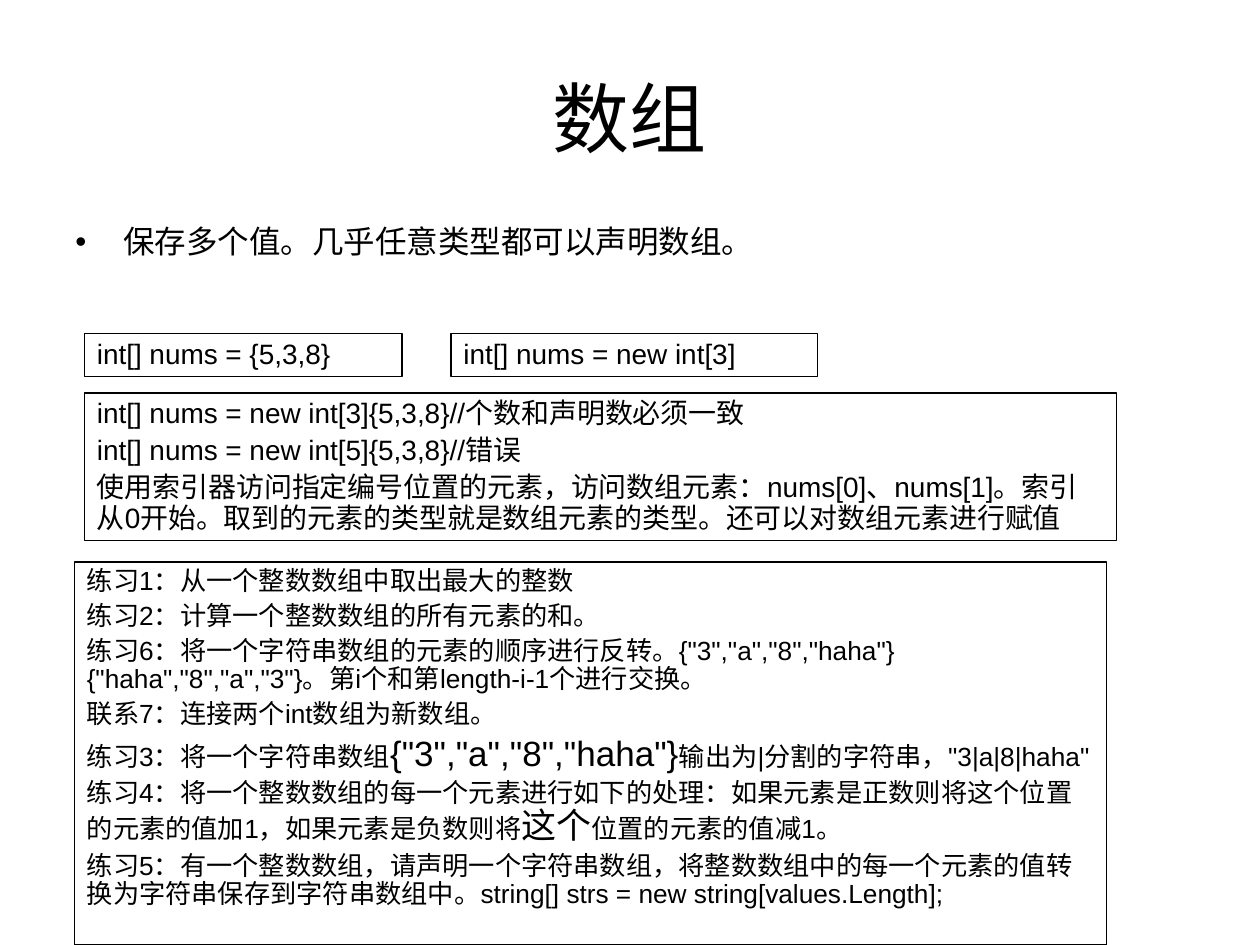
from lxml.etree import SubElement
from pptx import Presentation
from pptx.dml.color import RGBColor
from pptx.enum.text import MSO_ANCHOR, PP_ALIGN
from pptx.oxml.ns import qn
from pptx.util import Inches, Pt

COLORS = {"text": "000000", "line": "000000"}
FONT = "Arial"
EMPHASIS = 20

# A paragraph is a list of runs; a run in a tuple is emphasised.
INITIALIZER = [["int[] nums = {5,3,8}"]]
SIZED = [["int[] nums = new int[3]"]]
RULES = [
    ["int[] nums = new int[3]{5,3,8}//个数和声明数必须一致"],
    ["int[] nums = new int[5]{5,3,8}//错误"],
    ["使用索引器访问指定编号位置的元素，访问数组元素：nums[0]、nums[1]。"
     "索引从0开始。取到的元素的类型就是数组元素的类型。还可以对数组元素进行赋值"],
]
EXERCISES = [
    ["练习1：从一个整数数组中取出最大的整数"],
    ["练习2：计算一个整数数组的所有元素的和。"],
    ['练习6：将一个字符串数组的元素的顺序进行反转。{"3","a","8","haha"} '
     '{"haha","8","a","3"}。第i个和第length-i-1个进行交换。'],
    ["联系7：连接两个int数组为新数组。"],
    ["练习3：将一个字符串数组", ('{"3","a","8","haha"}',),
     '输出为|分割的字符串，"3|a|8|haha"'],
    ["练习4：将一个整数数组的每一个元素进行如下的处理：如果元素是正数则将"
     "这个位置的元素的值加1，如果元素是负数则将", ("这个",),
     "位置的元素的值减1。"],
    ["练习5：有一个整数数组，请声明一个字符串数组，将整数数组中的每一个元素的值"
     "转换为字符串保存到字符串数组中。string[] strs = new string[values.Length];"],
]


def add_text(slide, box, paragraphs, size, space_before=0, line_spacing=0.9):
    s = slide.shapes.add_textbox(*(Inches(v) for v in box))
    tf = s.text_frame
    tf.word_wrap = True
    for i, runs in enumerate(paragraphs):
        p = tf.paragraphs[0] if i == 0 else tf.add_paragraph()
        p.line_spacing = line_spacing
        p.space_before = Pt(space_before)
        for run in runs:
            emphasised = isinstance(run, tuple)
            r = p.add_run()
            r.text = run[0] if emphasised else run
            r.font.size = Pt(EMPHASIS if emphasised else size)
            r.font.name = FONT
            r.font.color.rgb = RGBColor.from_string(COLORS["text"])
    return s


def add_title(slide, text):
    s = add_text(slide, (0.5, 0.3, 9, 1.25), [[text]], 44, line_spacing=1.0)
    s.text_frame.vertical_anchor = MSO_ANCHOR.MIDDLE
    s.text_frame.paragraphs[0].alignment = PP_ALIGN.CENTER


def add_bullet(slide, text):
    s = add_text(slide, (0.5, 1.75, 6.48, 0.43), [[text]], 18, 4.5)
    pPr = s.text_frame.paragraphs[0]._p.get_or_add_pPr()
    pPr.set("marL", str(Inches(0.38)))
    pPr.set("indent", str(Inches(-0.38)))
    SubElement(pPr, qn("a:buFont"), typeface=FONT)
    SubElement(pPr, qn("a:buChar"), char="•")


def add_framed_text(slide, box, paragraphs, size, space_before):
    s = add_text(slide, box, paragraphs, size, space_before)
    s.line.color.rgb = RGBColor.from_string(COLORS["line"])
    s.line.width = Pt(0.75)


def main():
    prs = Presentation()
    prs.slide_width, prs.slide_height = Inches(10), Inches(7.5)
    slide = prs.slides.add_slide(prs.slide_layouts[6])

    add_title(slide, "数组")
    add_bullet(slide, "保存多个值。几乎任意类型都可以声明数组。")
    add_framed_text(slide, (0.67, 2.65, 2.52, 0.34), INITIALIZER, 16, 4)
    add_framed_text(slide, (3.58, 2.65, 2.91, 0.34), SIZED, 16, 4)
    add_framed_text(slide, (0.67, 3.12, 8.19, 1.17), RULES, 16, 4)
    add_framed_text(slide, (0.59, 4.46, 8.19, 3.04), EXERCISES, 15, 3.7)

    prs.save("out.pptx")


if __name__ == "__main__":
    main()
